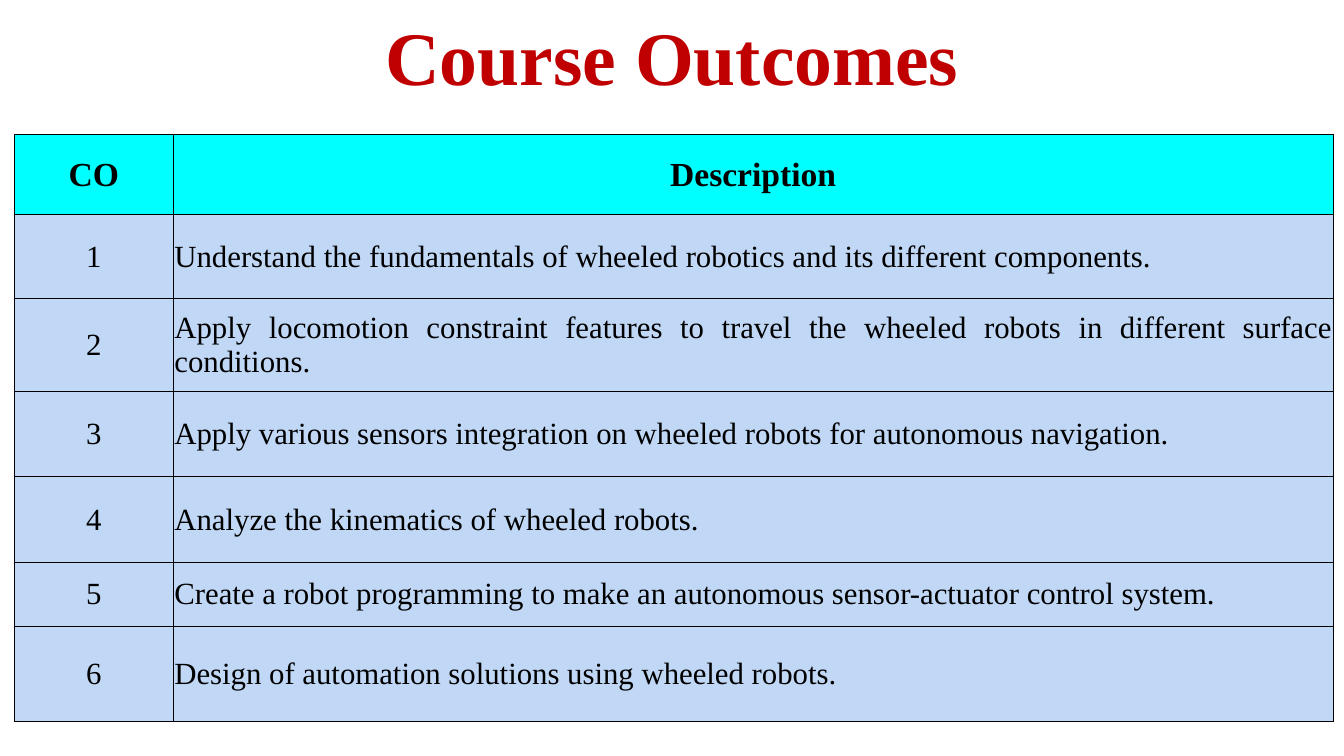
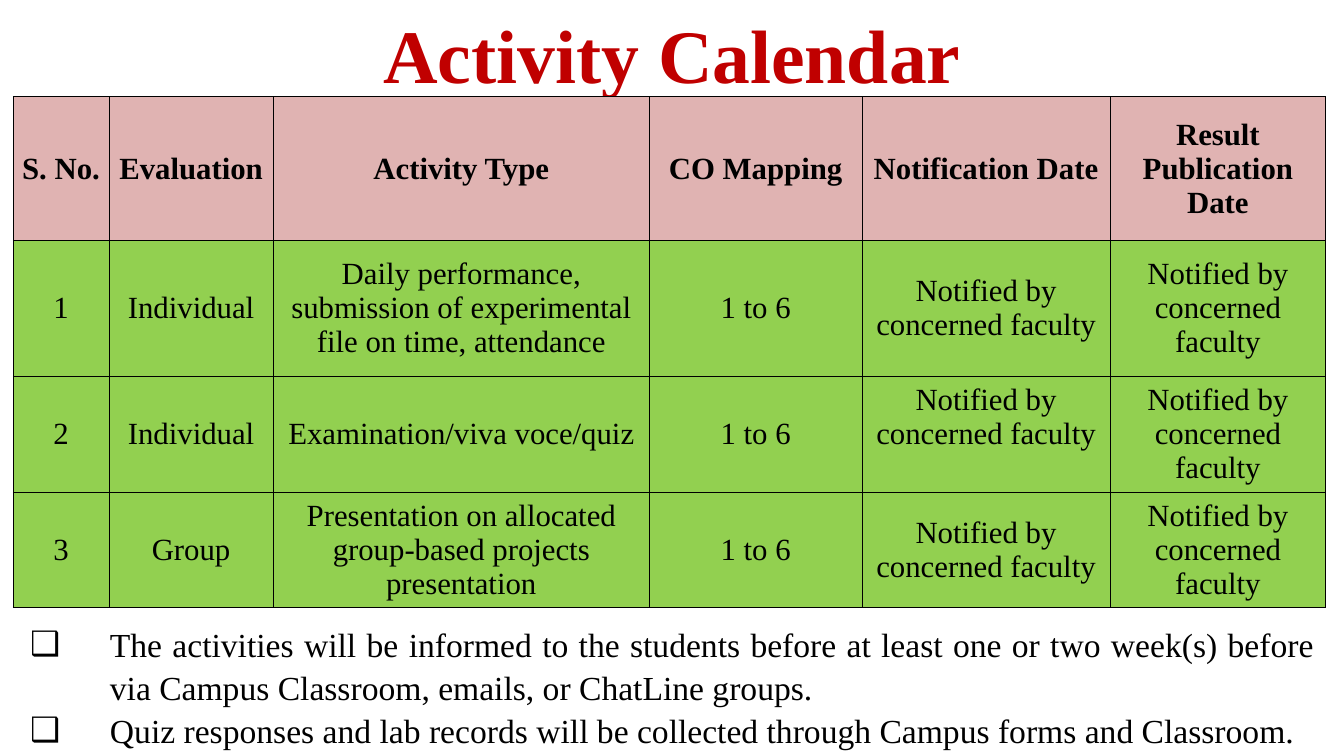
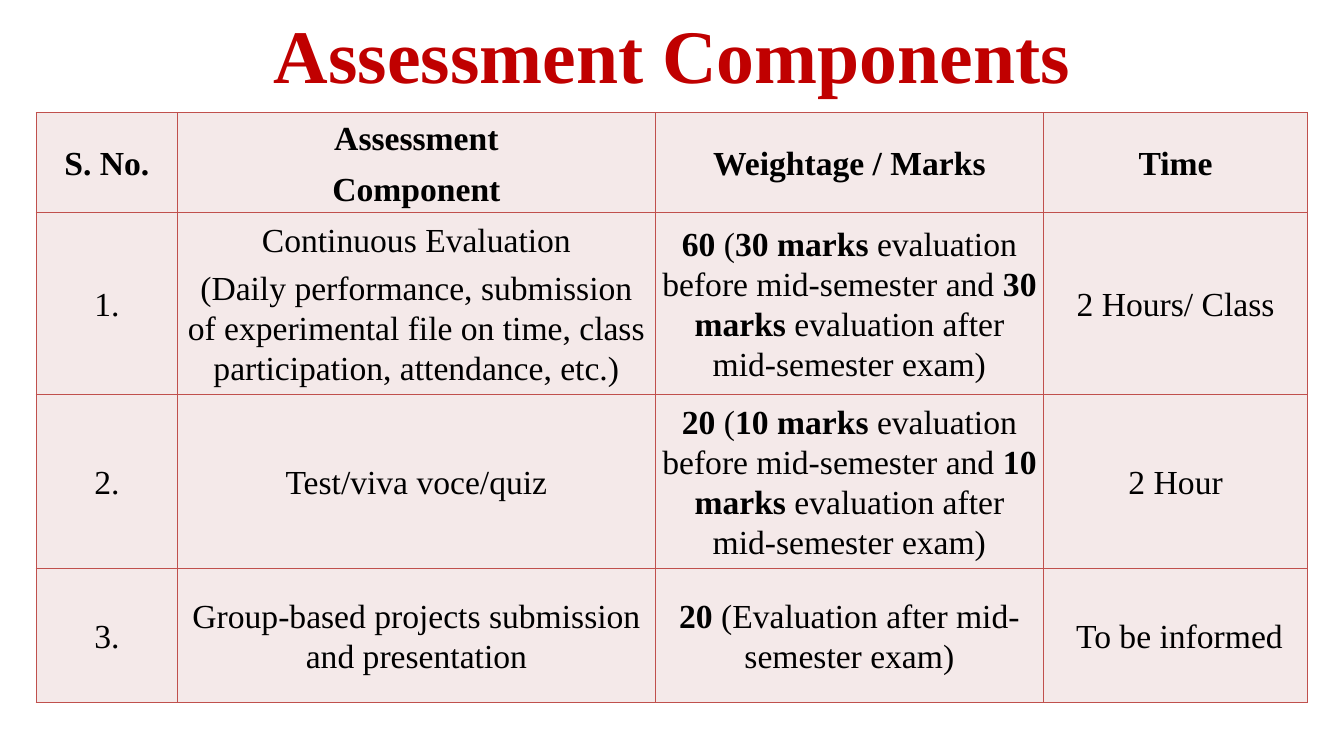
from lxml.etree import SubElement
from pptx import Presentation
from pptx.dml.color import RGBColor
from pptx.enum.text import MSO_ANCHOR, MSO_AUTO_SIZE, PP_ALIGN
from pptx.oxml.ns import qn
from pptx.util import Inches, Pt

FONT = "Times New Roman"
BLACK = "000000"
TITLE_RED = "C00000"
CYAN = "00FFFF"
PALE_BLUE = "C0D7F5"
ROSE = "E0B3B2"
GREEN = "92D050"
BLUSH = "F4E9E9"
BRICK = "C0504D"
LOOSE = 1.07
TITLE_ONLY, TITLE_AND_BODY = 5, 1

OUTCOMES = [
    "Understand the fundamentals of wheeled robotics and its different components.",
    "Apply locomotion constraint features to travel the wheeled robots in different surface conditions.",
    "Apply various sensors integration on wheeled robots for autonomous navigation.",
    "Analyze the kinematics of wheeled robots.",
    "Create a robot programming to make an autonomous sensor-actuator control system.",
    "Design of automation solutions using wheeled robots.",
]
ACTIVITIES = [
    ("Individual", "Daily performance, submission of experimental file on time, attendance"),
    ("Individual", "Examination/viva voce/quiz"),
    ("Group", "Presentation on allocated group-based projects presentation"),
]
NOTES = [
    "The activities will be informed to the students before at least one or two week(s) before "
    "via Campus Classroom, emails, or ChatLine groups.",
    "Quiz responses and lab records will be collected through Campus forms and Classroom.",
]
SPLIT_MARKS = ("*{0}* (*{1} marks *evaluation before mid-semester and "
               "*{1} marks *evaluation after mid-semester exam)")
ASSESSMENTS = [
    ["S. No.", "Assessment\nComponent", "Weightage / Marks", "Time"],
    ["1.", "Continuous Evaluation\n(Daily performance, submission of experimental file on time, "
     "class participation, attendance, etc.)", SPLIT_MARKS.format(60, 30), "2 Hours/ Class"],
    ["2.", "Test/viva voce/quiz", SPLIT_MARKS.format(20, 10), "2 Hour"],
    ["3.", "Group-based projects submission and presentation",
     "*20 *(Evaluation after mid-semester exam)", " To be informed"],
]


def rgb(value):
    return RGBColor.from_string(value)


def add_run(p, text, size, bold=False, color=BLACK):
    r = p.add_run()
    r.text = text
    r.font.name = FONT
    r.font.size = Pt(size)
    r.font.bold = bold
    r.font.color.rgb = rgb(color)


def place(shape, left, top, width, height):
    shape.left, shape.top = Inches(left), Inches(top)
    shape.width, shape.height = Inches(width), Inches(height)


def add_slide(prs, title, layout=TITLE_ONLY, top=0.03):
    s = prs.slides.add_slide(prs.slide_layouts[layout])
    place(s.shapes.title, 0, top, 13.33, 1.01)
    tf = s.shapes.title.text_frame
    tf.auto_size = MSO_AUTO_SIZE.NONE
    tf.vertical_anchor = MSO_ANCHOR.TOP
    p = tf.paragraphs[0]
    p.alignment = PP_ALIGN.CENTER
    add_run(p, title, 54, True, TITLE_RED)
    return s


def set_borders(cell, color, width):
    tc_pr = cell._tc.get_or_add_tcPr()
    for side in ("lnL", "lnR", "lnT", "lnB"):
        ln = SubElement(tc_pr, qn(f"a:{side}"), w=str(Pt(width)))
        fill = SubElement(ln, qn("a:solidFill"))
        SubElement(fill, qn("a:srgbClr"), val=color)


def fill_cell(cell, text, size, bold, align, spacing, after):
    tf = cell.text_frame
    for i, line in enumerate(text.split("\n")):
        p = tf.add_paragraph() if i else tf.paragraphs[0]
        p.alignment = align
        p.line_spacing = spacing
        p.space_after = Pt(after)
        for j, part in enumerate(line.split("*")):
            if part:
                add_run(p, part, size, bold or j % 2 == 1)


def add_grid(s, left, top, widths, heights, rows, fills, head_size=22, size=22,
             border=(BLACK, 0.5), side=0.01, justified=(), spacing=1.0, after=0):
    table = s.shapes.add_table(len(heights), len(widths), Inches(left), Inches(top),
                               Inches(sum(widths)), Inches(sum(heights))).table
    table.first_row = table.horz_banding = False
    for column, width in zip(table.columns, widths):
        column.width = Inches(width)
    for i, (row, height, texts) in enumerate(zip(table.rows, heights, rows)):
        row.height = Inches(height)
        head = i == 0
        for j, (cell, text) in enumerate(zip(row.cells, texts)):
            set_borders(cell, *border)
            cell.fill.solid()
            cell.fill.fore_color.rgb = rgb(fills[0 if head else 1])
            cell.vertical_anchor = MSO_ANCHOR.MIDDLE
            cell.margin_left = cell.margin_right = Inches(side)
            cell.margin_top, cell.margin_bottom = Inches(0.01), 0
            align = PP_ALIGN.JUSTIFY if j in justified and not head else PP_ALIGN.CENTER
            fill_cell(cell, text, head_size if head else size, head, align, spacing, after)
    return table


def add_checklist(s, items):
    body = s.placeholders[1]
    place(body, 0.2, 6.11, 12.94, 1.31)
    tf = body.text_frame
    tf.auto_size = MSO_AUTO_SIZE.NONE
    for i, item in enumerate(items):
        p = tf.add_paragraph() if i else tf.paragraphs[0]
        p.alignment = PP_ALIGN.JUSTIFY
        p.line_spacing = LOOSE
        p.space_before = Pt(0)
        p_pr = p._p.get_or_add_pPr()
        p_pr.set("marL", str(Inches(0.79)))
        p_pr.set("indent", str(-Inches(0.79)))
        SubElement(p_pr, qn("a:buChar"), char="❑")
        add_run(p, item, 24)


def outcomes_slide(prs):
    s = add_slide(prs, "Course Outcomes", top=0.05)
    rows = [("CO", "Description")] + [(str(n), text) for n, text in enumerate(OUTCOMES, 1)]
    add_grid(s, 0.14, 1.33, [1.58, 11.5], [0.8, 0.83, 0.92, 0.85, 0.85, 0.63, 0.95],
             rows, (CYAN, PALE_BLUE), head_size=24, justified=(1,))


def calendar_slide(prs):
    s = add_slide(prs, "Activity Calendar", TITLE_AND_BODY)
    rows = [("S. No.", "Evaluation", "Activity Type", "CO Mapping",
             "Notification Date", "Result Publication Date")]
    for n, (group, activity) in enumerate(ACTIVITIES, 1):
        rows.append((str(n), group, activity, "1 to 6") + ("Notified by concerned faculty",) * 2)
    table = add_grid(s, 0.13, 0.96, [0.95, 1.63, 3.73, 2.11, 2.46, 2.14],
                     [1.42, 1.35, 1.15, 1.15], rows, (ROSE, GREEN))
    table.cell(2, 4).margin_bottom = Inches(0.34)
    add_checklist(s, NOTES)


def assessment_slide(prs):
    s = add_slide(prs, "Assessment Components")
    table = add_grid(s, 0.36, 1.12, [1.4, 4.74, 3.85, 2.62], [0.99, 1.8, 1.73, 1.33],
                     ASSESSMENTS, (BLUSH, BLUSH), head_size=24, size=24,
                     border=(BRICK, 1), side=0.06, spacing=LOOSE, after=8)
    table.cell(1, 1).text_frame.paragraphs[0].space_after = Pt(6)


def main():
    prs = Presentation()
    prs.slide_width, prs.slide_height = Inches(13.33), Inches(7.5)
    outcomes_slide(prs)
    calendar_slide(prs)
    assessment_slide(prs)
    prs.save("out.pptx")


if __name__ == "__main__":
    main()
